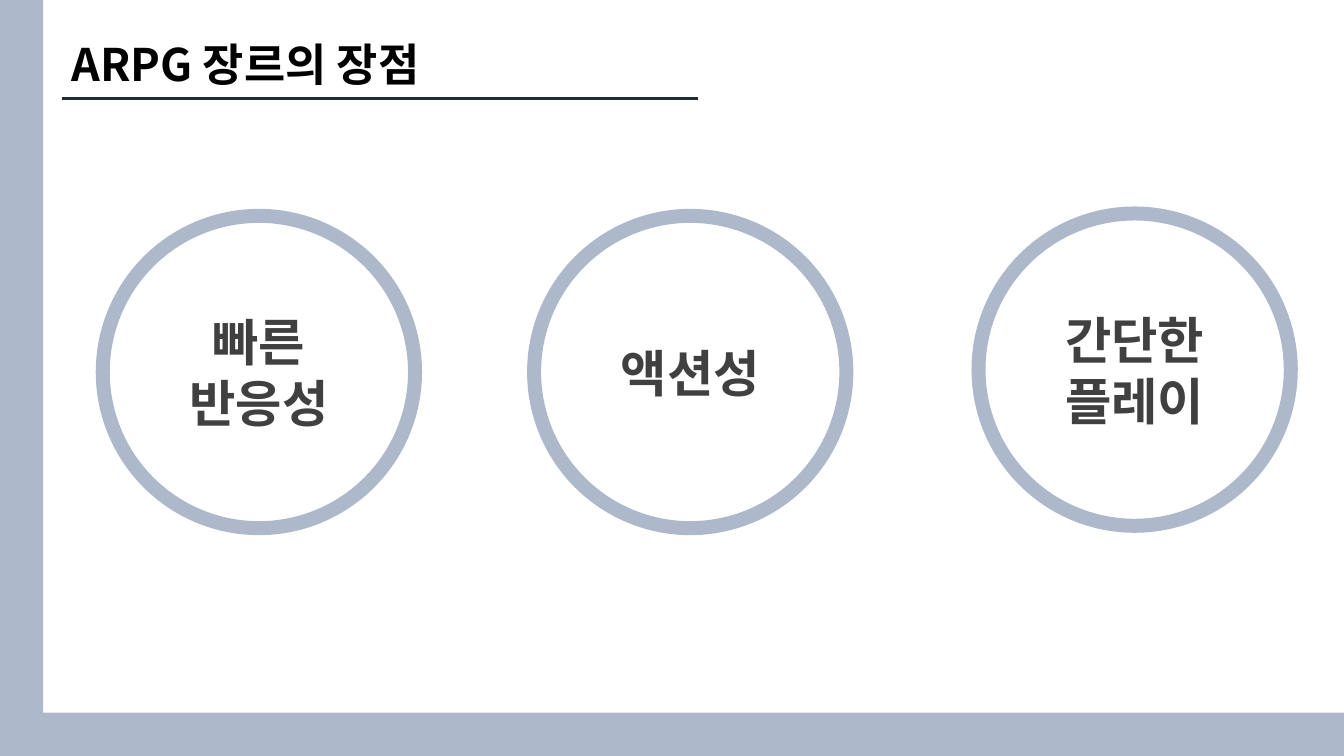
"""Build a slide on the strengths of the ARPG genre."""
from lxml import etree
from pptx import Presentation
from pptx.dml.color import RGBColor
from pptx.enum.shapes import MSO_CONNECTOR, MSO_SHAPE
from pptx.enum.text import MSO_ANCHOR, MSO_AUTO_SIZE, PP_ALIGN
from pptx.oxml.ns import qn
from pptx.util import Cm, Pt

RECT, OVAL = MSO_SHAPE.RECTANGLE, MSO_SHAPE.OVAL
LINE = MSO_CONNECTOR.STRAIGHT
LEFT, CENTER = PP_ALIGN.LEFT, PP_ALIGN.CENTER
MIDDLE = MSO_ANCHOR.MIDDLE
GROW = MSO_AUTO_SIZE.SHAPE_TO_FIT_TEXT

FONT = "Noto Sans CJK KR"
BLUE, INK, GRAY, BLACK = "ADB9CA", "222A35", "404040", "000000"
WIDE, HIGH, EDGE, RING = 33.87, 19.05, 1.09, 7.87


def paint(color, code):
    """Apply a hex colour to a colour format."""
    color.rgb = RGBColor.from_string(code)


def write(frame, lines, size, code, align):
    """Fill a text frame with bold paragraphs."""
    frame.word_wrap = True
    frame.text = "\n".join(lines)
    for para in frame.paragraphs:
        para.alignment = align
        font = para.font
        font.name, font.size, font.bold = FONT, Pt(size), True
        paint(font.color, code)
        props = para._p.find(".//" + qn("a:defRPr"))
        etree.SubElement(props, qn("a:ea"), typeface=FONT)


def add_bar(slide, left, top, width, height):
    """Add a plain bar along a slide edge."""
    bar = slide.shapes.add_shape(RECT, Cm(left), Cm(top), Cm(width), Cm(height))
    bar.shadow.inherit = False
    bar.fill.solid()
    paint(bar.fill.fore_color, BLUE)
    bar.line.fill.background()


def add_title(slide, text):
    """Add the title and the rule under it."""
    box = slide.shapes.add_textbox(Cm(1.55), Cm(0.79), Cm(16.18), Cm(1.62))
    write(box.text_frame, [text], 32, BLACK, LEFT)
    box.text_frame.auto_size = GROW
    rule = slide.shapes.add_connector(LINE, Cm(1.55), Cm(2.49), Cm(17.58), Cm(2.49))
    rule.line.width = Pt(2.25)
    paint(rule.line.color, INK)
    etree.SubElement(rule._element.spPr, qn("a:effectLst"))


def add_ring(slide, left, top, lines):
    """Add an outlined circle with centred text."""
    ring = slide.shapes.add_shape(OVAL, Cm(left), Cm(top), Cm(RING), Cm(RING))
    ring.shadow.inherit = False
    ring.fill.background()
    ring.line.width = Pt(10)
    paint(ring.line.color, BLUE)
    ring.text_frame.vertical_anchor = MIDDLE
    write(ring.text_frame, lines, 36, GRAY, CENTER)


def main():
    """Build and save the slide."""
    deck = Presentation()
    deck.slide_width, deck.slide_height = Cm(WIDE), Cm(HIGH)
    slide = deck.slides.add_slide(deck.slide_layouts[6])
    add_bar(slide, 0, 0, EDGE, HIGH)
    add_title(slide, "ARPG 장르의 장점")
    rings = [
        (2.59, 5.44, ["빠른", "반응성"]),
        (13.46, 5.44, ["액션성"]),
        (24.66, 5.38, ["간단한 플레이"]),
    ]
    for left, top, lines in rings:
        add_ring(slide, left, top, lines)
    add_bar(slide, EDGE - 0.17, HIGH - EDGE, WIDE - EDGE + 0.17, EDGE)
    deck.save("out.pptx")


if __name__ == "__main__":
    main()
